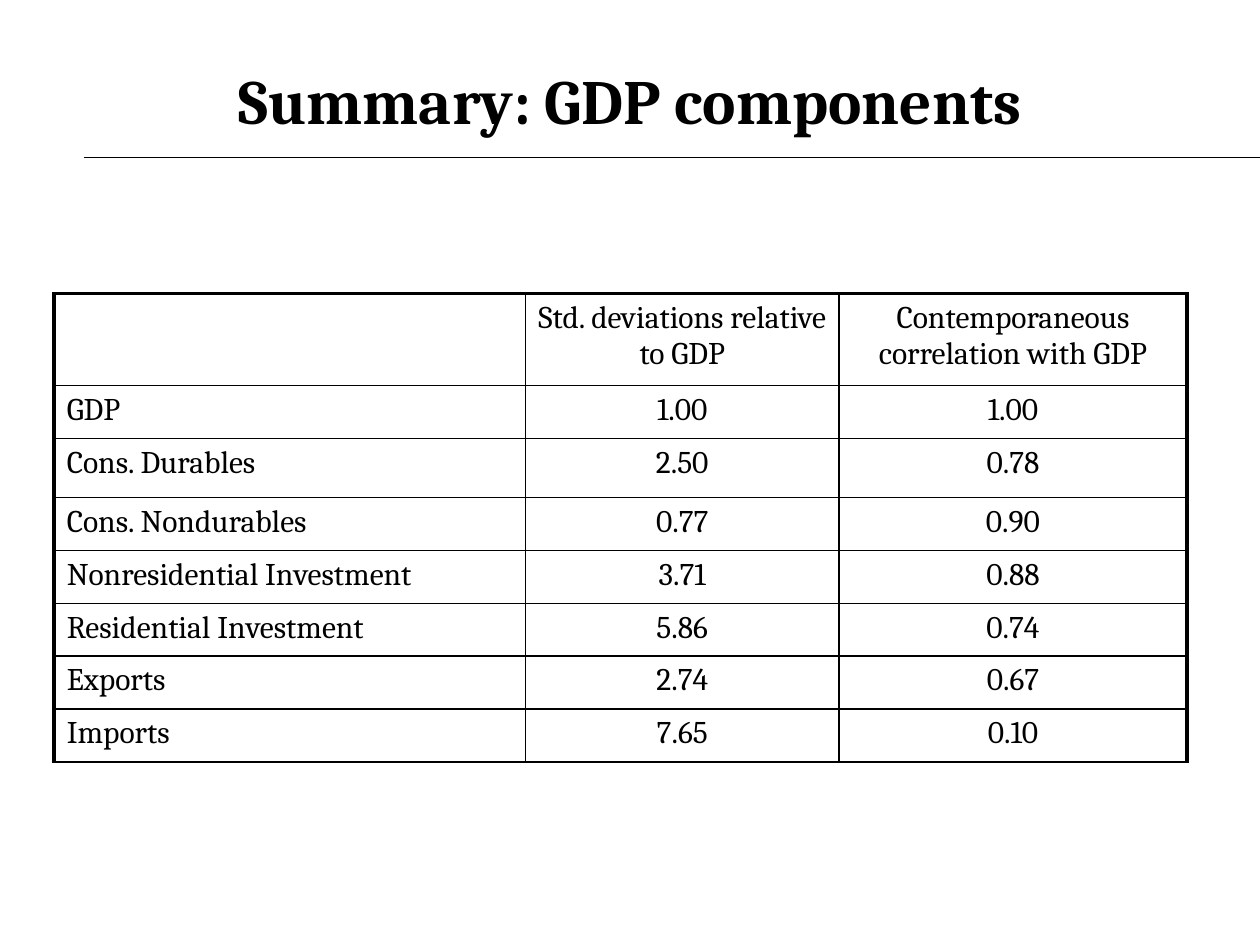
from lxml import etree
from pptx import Presentation
from pptx.dml.color import RGBColor
from pptx.enum.shapes import MSO_CONNECTOR
from pptx.enum.text import MSO_ANCHOR, PP_ALIGN
from pptx.oxml.ns import qn
from pptx.util import Inches, Pt

LEFT, MID = PP_ALIGN.LEFT, PP_ALIGN.CENTER
CENTER = MSO_ANCHOR.MIDDLE
LINE = MSO_CONNECTOR.STRAIGHT

TITLE = "Summary: GDP components"
ROWS = [
    ("", "Std. deviations relative to GDP", "Contemporaneous correlation with GDP"),
    ("GDP", "1.00", "1.00"),
    ("Cons. Durables", "2.50", "0.78"),
    ("Cons. Nondurables", "0.77", "0.90"),
    ("Nonresidential Investment", "3.71", "0.88"),
    ("Residential Investment", "5.86", "0.74"),
    ("Exports", "2.74", "0.67"),
    ("Imports", "7.65", "0.10"),
]
WIDTHS = [3.74, 2.49, 2.76]
TALL = {0: 0.73, 2: 0.47}
ROW = 0.42
THICK, THIN = 2.25, 1
FONT = "Cambria"
COLORS = {"ink": "000000"}


def write(frame, text, size=18, bold=False, align=LEFT):
    frame.word_wrap = True
    para = frame.paragraphs[0]
    para.alignment = align
    font = para.font
    if text:
        run = para.add_run()
        run.text = text
        font = run.font
    font.name, font.size, font.bold = FONT, Pt(size), bold
    font.color.rgb = RGBColor.from_string(COLORS["ink"])


def edge(cell, side, width):
    props = cell._tc.get_or_add_tcPr()
    line = etree.SubElement(props, qn("a:ln" + side), w=str(Pt(width)))
    fill = etree.SubElement(line, qn("a:solidFill"))
    etree.SubElement(fill, qn("a:srgbClr"), val=COLORS["ink"])


def add_title(slide):
    title = slide.shapes.title
    title.left, title.top = Inches(0.5), Inches(0.33)
    title.width, title.height = Inches(9), Inches(0.92)
    title.text_frame.vertical_anchor = CENTER
    write(title.text_frame, TITLE, size=36, bold=True, align=MID)
    rule = slide.shapes.add_connector(
        LINE, Inches(0.67), Inches(1.25), Inches(10), Inches(1.25))
    rule.line.width = Pt(0.75)
    rule.line.color.rgb = RGBColor.from_string(COLORS["ink"])
    etree.SubElement(rule._element.spPr, qn("a:effectLst"))


def add_grid(slide):
    highs = [TALL.get(r, ROW) for r in range(len(ROWS))]
    table = slide.shapes.add_table(
        len(ROWS), len(WIDTHS), Inches(0.43), Inches(2.33),
        Inches(sum(WIDTHS)), Inches(sum(highs))).table
    table.first_row = table.horz_banding = False
    for col, width in zip(table.columns, WIDTHS):
        col.width = Inches(width)
    for r, texts in enumerate(ROWS):
        table.rows[r].height = Inches(highs[r])
        for c, text in enumerate(texts):
            cell = table.cell(r, c)
            write(cell.text_frame, text, align=MID if c else LEFT)
            edge(cell, "L", THIN if c else THICK)
            edge(cell, "R", THICK if c == len(WIDTHS) - 1 else THIN)
            edge(cell, "T", THIN if r else THICK)
            edge(cell, "B", THIN)
            cell.fill.background()


def main():
    deck = Presentation()
    deck.slide_width, deck.slide_height = Inches(10), Inches(7.5)
    slide = deck.slides.add_slide(deck.slide_layouts[5])
    add_title(slide)
    add_grid(slide)
    deck.save("out.pptx")


if __name__ == "__main__":
    main()
